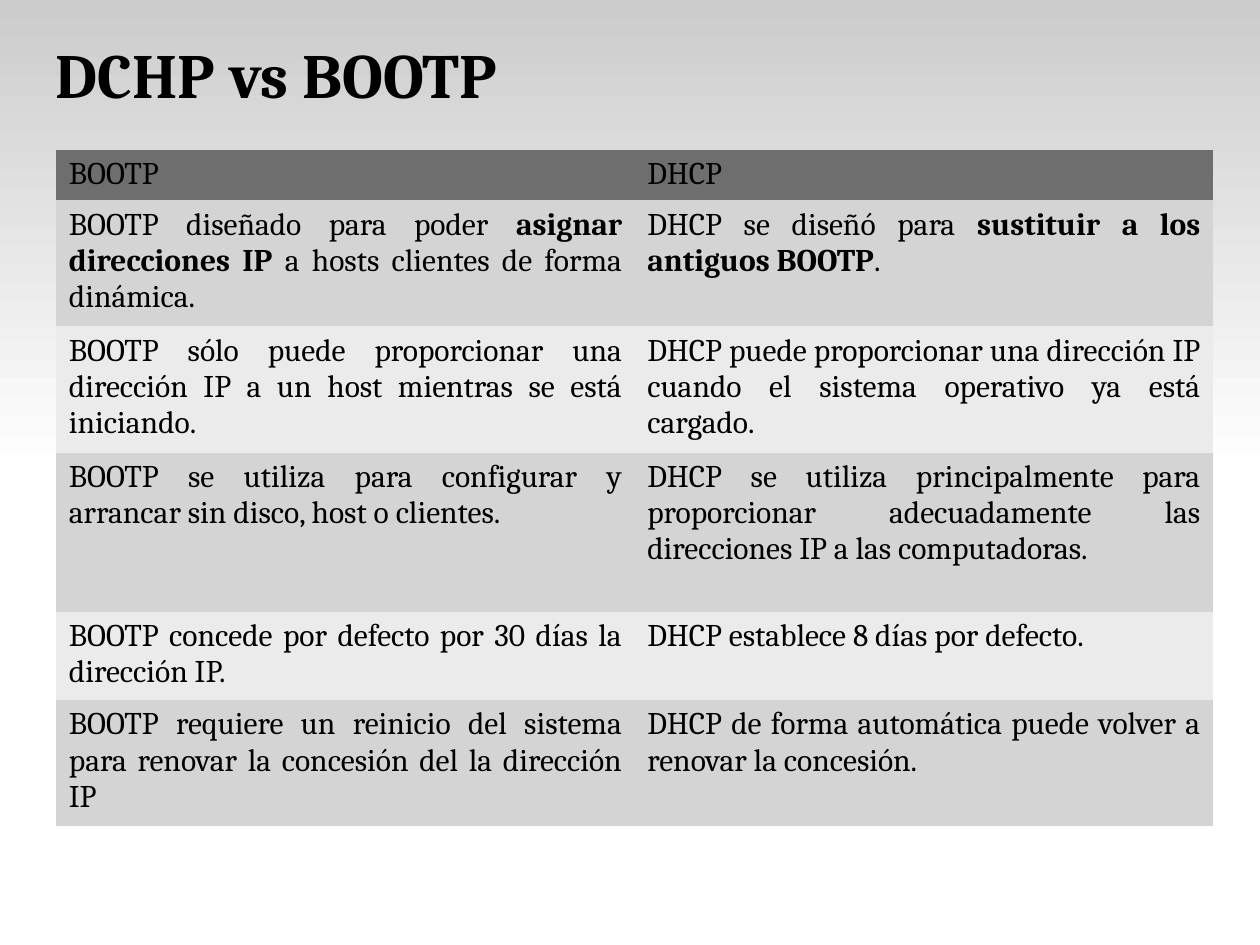
from pptx import Presentation
from pptx.dml.color import RGBColor
from pptx.enum import shapes, text
from pptx.util import Pt

FONT = "Cambria"
TITLE = "DCHP vs BOOTP"
HEADER = ("BOOTP", "DHCP")
COMPARISON = [
    (["BOOTP diseñado para poder ", ("asignar direcciones IP ",), "a hosts clientes de forma dinámica. "],
     ["DHCP se diseñó para ", ("sustituir a los antiguos BOOTP",), ". "]),
    (["BOOTP sólo puede proporcionar una dirección IP a un host mientras se está iniciando."],
     ["DHCP puede proporcionar una dirección IP cuando el sistema operativo ya está cargado."]),
    (["BOOTP se utiliza para configurar y arrancar sin disco, host o clientes."],
     ["DHCP se utiliza principalmente para proporcionar adecuadamente las direcciones IP a las computadoras."]),
    (["BOOTP concede por defecto por 30 días la dirección IP."],
     ["DHCP establece 8 días por defecto. "]),
    (["BOOTP requiere un reinicio del sistema para renovar la concesión del la dirección IP"],
     ["DHCP de forma automática puede volver a renovar la concesión."]),
]
ROW_HEIGHTS = [28, 70, 70, 91, 49, 70]
COLUMN_WIDTH = 330.5
HEADER_FILL = "6E6E6E"
BAND_FILLS = ["D4D4D4", "EBEBEB"]


def color(value):
    return RGBColor.from_string(value)


def write(frame, parts, size=18, bold=False, align=None):
    paragraph = frame.paragraphs[0]
    paragraph.alignment = align
    for part in parts:
        emphasized = isinstance(part, tuple)
        run = paragraph.add_run()
        run.text = part[0] if emphasized else part
        run.font.name = FONT
        run.font.size = Pt(size)
        run.font.bold = bold or emphasized
        run.font.color.rgb = color("000000")


def add_backdrop(slide):
    backdrop = slide.shapes.add_shape(
        shapes.MSO_SHAPE.RECTANGLE, 0, 0, Pt(720), Pt(270))
    backdrop.shadow.inherit = False
    backdrop.line.fill.background()
    backdrop.fill.gradient()
    backdrop.fill.gradient_angle = 270
    for stop, (position, shade) in zip(backdrop.fill.gradient_stops, [(0, "CCCCCC"), (1, "FFFFFF")]):
        stop.position = position
        stop.color.rgb = color(shade)


def add_title(slide):
    title = slide.shapes.add_textbox(Pt(32), Pt(18), Pt(468), Pt(47.5)).text_frame
    title.word_wrap = True
    title.vertical_anchor = text.MSO_ANCHOR.MIDDLE
    title.margin_left = title.margin_right = 0
    write(title, [TITLE], size=36, bold=True)


def add_comparison(slide):
    rows = [tuple([name] for name in HEADER)] + COMPARISON
    table = slide.shapes.add_table(
        len(rows), len(HEADER), Pt(32.2), Pt(85.7),
        Pt(COLUMN_WIDTH * len(HEADER)), Pt(sum(ROW_HEIGHTS))).table
    for column in table.columns:
        column.width = Pt(COLUMN_WIDTH)
    for r, (row, height) in enumerate(zip(rows, ROW_HEIGHTS)):
        table.rows[r].height = Pt(height)
        for c, parts in enumerate(row):
            cell = table.cell(r, c)
            cell.fill.solid()
            cell.fill.fore_color.rgb = color(BAND_FILLS[(r - 1) % 2] if r else HEADER_FILL)
            write(cell.text_frame, parts, align=text.PP_ALIGN.JUSTIFY if r else None)
    table.first_row = table.horz_banding = False
    style = table._tbl.tblPr.find("{*}tableStyleId")
    style.text = "{2D5ABB26-0587-4C30-8999-92F81FD0307C}"


def main():
    deck = Presentation()
    deck.slide_width, deck.slide_height = Pt(720), Pt(540)
    slide = deck.slides.add_slide(deck.slide_layouts[6])
    add_backdrop(slide)
    add_title(slide)
    add_comparison(slide)
    deck.save("out.pptx")


if __name__ == "__main__":
    main()
